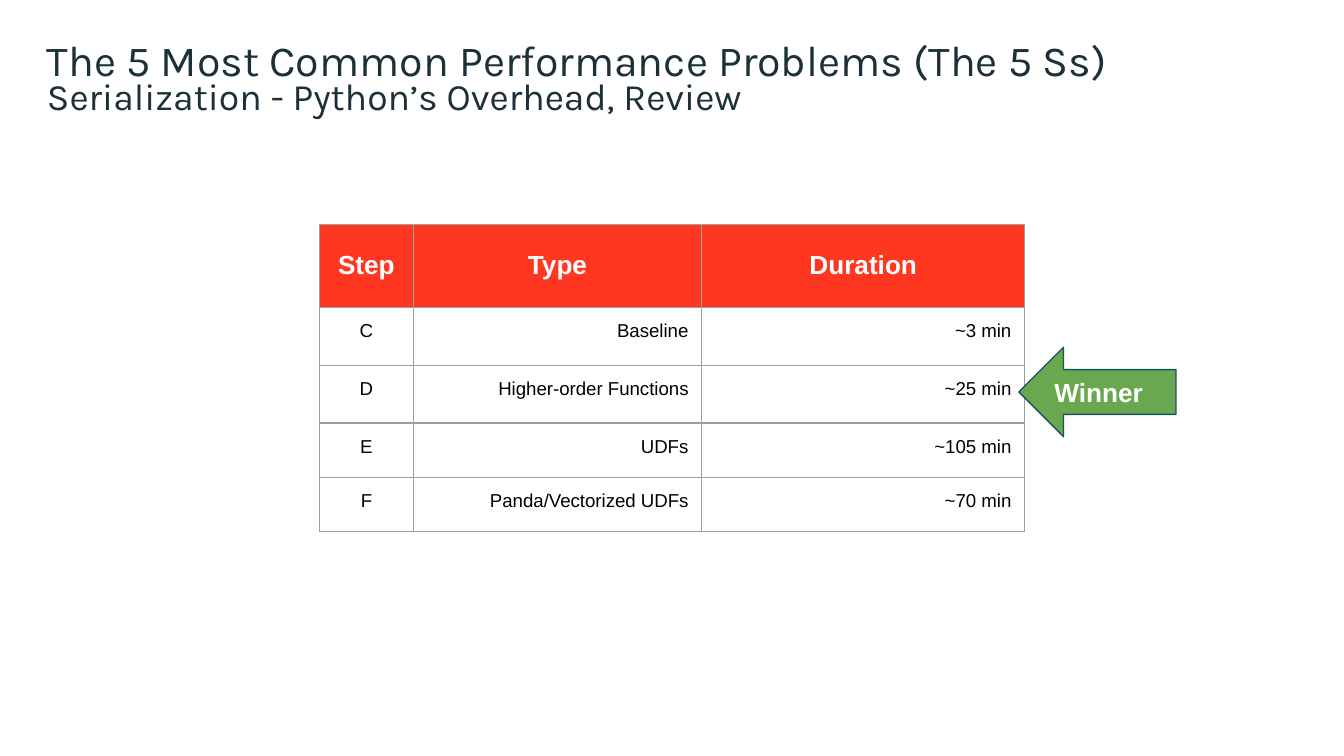
from lxml.etree import SubElement
from pptx import Presentation
from pptx.dml.color import RGBColor
from pptx.enum.shapes import MSO_SHAPE as Shape
from pptx.enum.text import MSO_ANCHOR as Anchor, PP_ALIGN as Align
from pptx.oxml.ns import qn
from pptx.util import Pt

COLORS = {
    "navy": "1B3038", "red": "FF3620", "white": "FFFFFF", "black": "000000",
    "grid": "9E9E9E", "green": "6AA84F", "teal": "1B5161",
}


def color(name):
    return RGBColor.from_string(COLORS[name])


def add_text(frame, text, size, font, ink, bold=False, align=Align.LEFT):
    para = frame.paragraphs[0]
    para.alignment = align
    span = para.add_run()
    span.text = text
    span.font.size = Pt(size)
    span.font.name = font
    span.font.bold = bold
    span.font.color.rgb = color(ink)
    return para


deck = Presentation()
deck.slide_width, deck.slide_height = Pt(720), Pt(405)
page = deck.slides.add_slide(deck.slide_layouts[6])

# Results table
rows = [
    ("Step", "Type", "Duration"),
    ("C", "Baseline", "~3 min"),
    ("D", "Higher-order Functions", "~25 min"),
    ("E", "UDFs", "~105 min"),
    ("F", "Panda/Vectorized UDFs", "~70 min"),
]
widths = [50.2, 154.6, 173]
heights = [44.5, 31, 31, 29, 29]
table = page.shapes.add_table(len(rows), len(widths), Pt(171.2), Pt(120.2),
                              Pt(sum(widths)), Pt(sum(heights))).table
table.horz_banding = False
for column, width in zip(table.columns, widths):
    column.width = Pt(width)
for r, (values, height) in enumerate(zip(rows, heights)):
    table.rows[r].height = Pt(height)
    header = r == 0
    for c, value in enumerate(values):
        cell = table.cell(r, c)
        cell.margin_left = cell.margin_right = Pt(7.2)
        cell.margin_top = cell.margin_bottom = Pt(7.2)
        cell.vertical_anchor = Anchor.MIDDLE if header else Anchor.TOP
        add_text(cell.text_frame, value, 14 if header else 10, "Arial",
                 "white" if header else "black", header,
                 Align.CENTER if header or c == 0 else Align.RIGHT)
        # Borders come before the fill in the cell properties
        properties = cell._tc.get_or_add_tcPr()
        for side in ("a:lnL", "a:lnR", "a:lnT", "a:lnB"):
            border = SubElement(properties, qn(side), w=str(Pt(0.75)))
            paint = SubElement(border, qn("a:solidFill"))
            SubElement(paint, qn("a:srgbClr"), val=COLORS["grid"])
        cell.fill.solid()
        cell.fill.fore_color.rgb = color("red" if header else "white")

# Subtitle and title
headings = [
    ("Serialization - Python’s Overhead, Review", 41.8, 20, 0.9),
    ("The 5 Most Common Performance Problems (The 5 Ss)", 18, 23, 1.0),
]
for text, top, size, spacing in headings:
    box = page.shapes.add_textbox(Pt(0), Pt(top), Pt(720), Pt(36))
    frame = box.text_frame
    frame.word_wrap = True
    frame.margin_left = Pt(25.2)
    frame.margin_right = frame.margin_top = frame.margin_bottom = Pt(0)
    add_text(frame, text, size, "Karla", "navy").line_spacing = spacing

# Winner arrow
arrow = page.shapes.add_shape(Shape.LEFT_ARROW, Pt(545.8), Pt(186), Pt(84.2), Pt(48))
arrow.shadow.inherit = False
arrow.fill.solid()
arrow.fill.fore_color.rgb = color("green")
arrow.line.color.rgb = color("teal")
arrow.line.width = Pt(0.75)
frame = arrow.text_frame
frame.vertical_anchor = Anchor.MIDDLE
frame.word_wrap = True
frame.margin_left = frame.margin_right = Pt(7.2)
frame.margin_top = frame.margin_bottom = Pt(7.2)
add_text(frame, "Winner", 14, "Arial", "white", bold=True)

deck.save("out.pptx")
